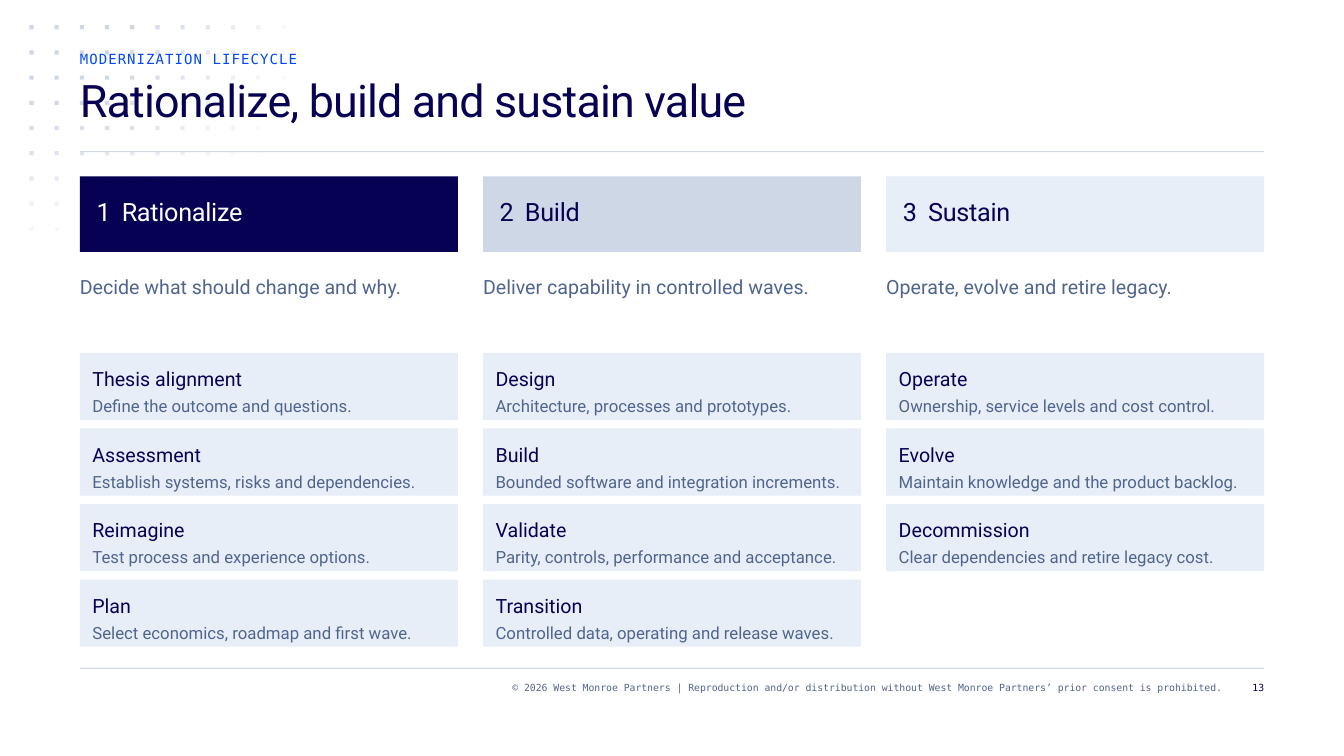
from math import hypot

from lxml.etree import SubElement
from pptx import Presentation
from pptx.dml.color import RGBColor
from pptx.enum.shapes import MSO_SHAPE as Shape
from pptx.enum.text import MSO_ANCHOR as Anchor, MSO_AUTO_SIZE as AutoSize, PP_ALIGN as Align
from pptx.oxml.ns import qn
from pptx.util import Inches, Pt

NAVY = RGBColor(0x07, 0x01, 0x54)
BLUE = RGBColor(0x00, 0x47, 0xFF)
SLATE = RGBColor(0x50, 0x65, 0x8E)
MIST = RGBColor(0xCE, 0xD7, 0xE6)
PALE = RGBColor(0xE8, 0xEE, 0xF8)
WHITE = RGBColor(0xFF, 0xFF, 0xFF)

SANS = "Roboto"
MONO = "DejaVu Sans Mono"

UNIT = Inches(1) / 24
PAGE_WIDTH, PAGE_HEIGHT = 320, 180
MARGIN, CONTENT_WIDTH = 19, 282
COLUMN_WIDTH, COLUMN_PITCH = 90, 96
HEADER_TOP, SUMMARY_TOP, CARDS_TOP = 42, 64, 84
CARD_HEIGHT, CARD_PITCH = 16, 18

PHASES = [
    ("Rationalize", "Decide what should change and why.", NAVY, WHITE, [
        ("Thesis alignment", "Define the outcome and questions."),
        ("Assessment", "Establish systems, risks and dependencies."),
        ("Reimagine", "Test process and experience options."),
        ("Plan", "Select economics, roadmap and first wave."),
    ]),
    ("Build", "Deliver capability in controlled waves.", MIST, NAVY, [
        ("Design", "Architecture, processes and prototypes."),
        ("Build", "Bounded software and integration increments."),
        ("Validate", "Parity, controls, performance and acceptance."),
        ("Transition", "Controlled data, operating and release waves."),
    ]),
    ("Sustain", "Operate, evolve and retire legacy.", PALE, NAVY, [
        ("Operate", "Ownership, service levels and cost control."),
        ("Evolve", "Maintain knowledge and the product backlog."),
        ("Decommission", "Clear dependencies and retire legacy cost."),
    ]),
]


def units(*values):
    return [round(value * UNIT) for value in values]


def add_block(page, left, top, width, height, color, opacity=100):
    block = page.shapes.add_shape(Shape.RECTANGLE, *units(left, top, width, height))
    block.shadow.inherit = False
    block.line.fill.background()
    block.fill.solid()
    block.fill.fore_color.rgb = color
    if opacity < 100:
        swatch = block.element.spPr.find(".//" + qn("a:srgbClr"))
        SubElement(swatch, qn("a:alpha"), val=str(opacity * 1000))


def write(box, text, size, leading, color, font=SANS, align=Align.LEFT, tracking=0, tab=None):
    frame = box.text_frame
    frame.word_wrap = True
    frame.auto_size = AutoSize.NONE
    frame.vertical_anchor = Anchor.TOP
    frame.margin_left = frame.margin_top = frame.margin_right = frame.margin_bottom = 0
    para = frame.paragraphs[0]
    span = para.add_run()
    span.text = text
    if tracking:
        span._r.get_or_add_rPr().set("spc", str(round(tracking * 100)))
    if tab:
        stops = SubElement(para._p.get_or_add_pPr(), qn("a:tabLst"))
        SubElement(stops, qn("a:tab"), pos=str(Inches(tab)), algn="l")
    para.alignment = align
    para.line_spacing = Pt(leading)
    para.font.name = font
    para.font.size = Pt(size)
    para.font.bold = False
    para.font.color.rgb = color


def add_text(page, left, top, width, height, *content, **style):
    box = page.shapes.add_textbox(*units(left, top, width, height))
    write(box, *content, **style)


def add_dots(page):
    for column in range(11):
        for row in range(9 if column < 3 else 7):
            opacity = round(153 * (1 - hypot(column / 11.07, row / 9.06)))
            if opacity > 0:
                add_block(page, 7 + 6 * column, 6 + 6 * row, 1, 1, MIST, opacity)


def add_title(page, text):
    title = page.shapes.title
    title.element.getparent().append(title.element)
    title.left, title.top, title.width, title.height = units(MARGIN, 18, CONTENT_WIDTH, 18)
    write(title, text, 32, 36, NAVY, tracking=-0.6)


def add_card(page, left, top, heading, detail):
    add_block(page, left, top, COLUMN_WIDTH, CARD_HEIGHT, PALE)
    add_text(page, left + 3, top + 2, COLUMN_WIDTH - 6, 7, heading, 14, 21, NAVY)
    add_text(page, left + 3, top + 9, COLUMN_WIDTH - 6, 6, detail, 12, 18, SLATE)


def add_phase(page, index, name, summary, fill, ink, cards):
    left = MARGIN + COLUMN_PITCH * index
    add_block(page, left, HEADER_TOP, COLUMN_WIDTH, 18, fill)
    add_text(page, left + 4, HEADER_TOP + 4, COLUMN_WIDTH - 8, 8,
             f"{index + 1}\t{name}", 18, 24, ink, tracking=-0.2, tab=0.25)
    add_text(page, left, SUMMARY_TOP, COLUMN_WIDTH, 14, summary, 14, 21, SLATE)
    for row, (heading, detail) in enumerate(cards):
        add_card(page, left, CARDS_TOP + CARD_PITCH * row, heading, detail)


def add_footer(page):
    add_text(page, 57, 162, 234, 6,
             "© 2026 West Monroe Partners | Reproduction and/or distribution without "
             "West Monroe Partners’ prior consent is prohibited.",
             7, 9, SLATE, font=MONO, align=Align.RIGHT)
    add_text(page, 293, 162, 8, 6, "13", 7, 9, NAVY, font=MONO, align=Align.RIGHT)


def main():
    deck = Presentation()
    deck.slide_width, deck.slide_height = units(PAGE_WIDTH, PAGE_HEIGHT)
    page = deck.slides.add_slide(deck.slide_layouts[5])
    add_dots(page)
    for rule_top in (36, 159):
        add_block(page, MARGIN, rule_top, CONTENT_WIDTH, 0.25, MIST)
    add_text(page, MARGIN, 12, CONTENT_WIDTH, 4, "MODERNIZATION LIFECYCLE",
             10, 12, BLUE, font=MONO, tracking=0.8)
    add_title(page, "Rationalize, build and sustain value")
    for index, phase in enumerate(PHASES):
        add_phase(page, index, *phase)
    add_footer(page)
    deck.save("out.pptx")


if __name__ == "__main__":
    main()
